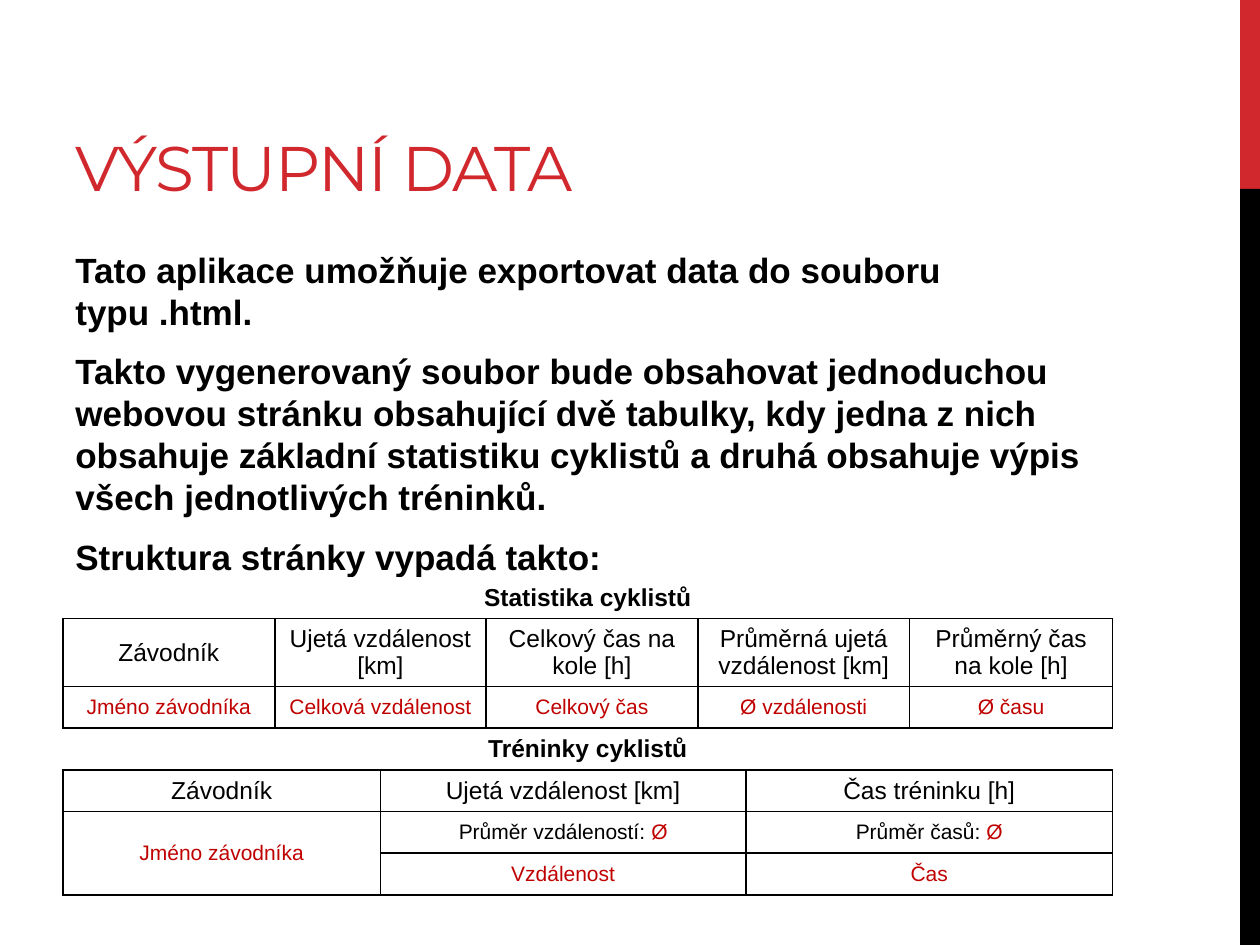
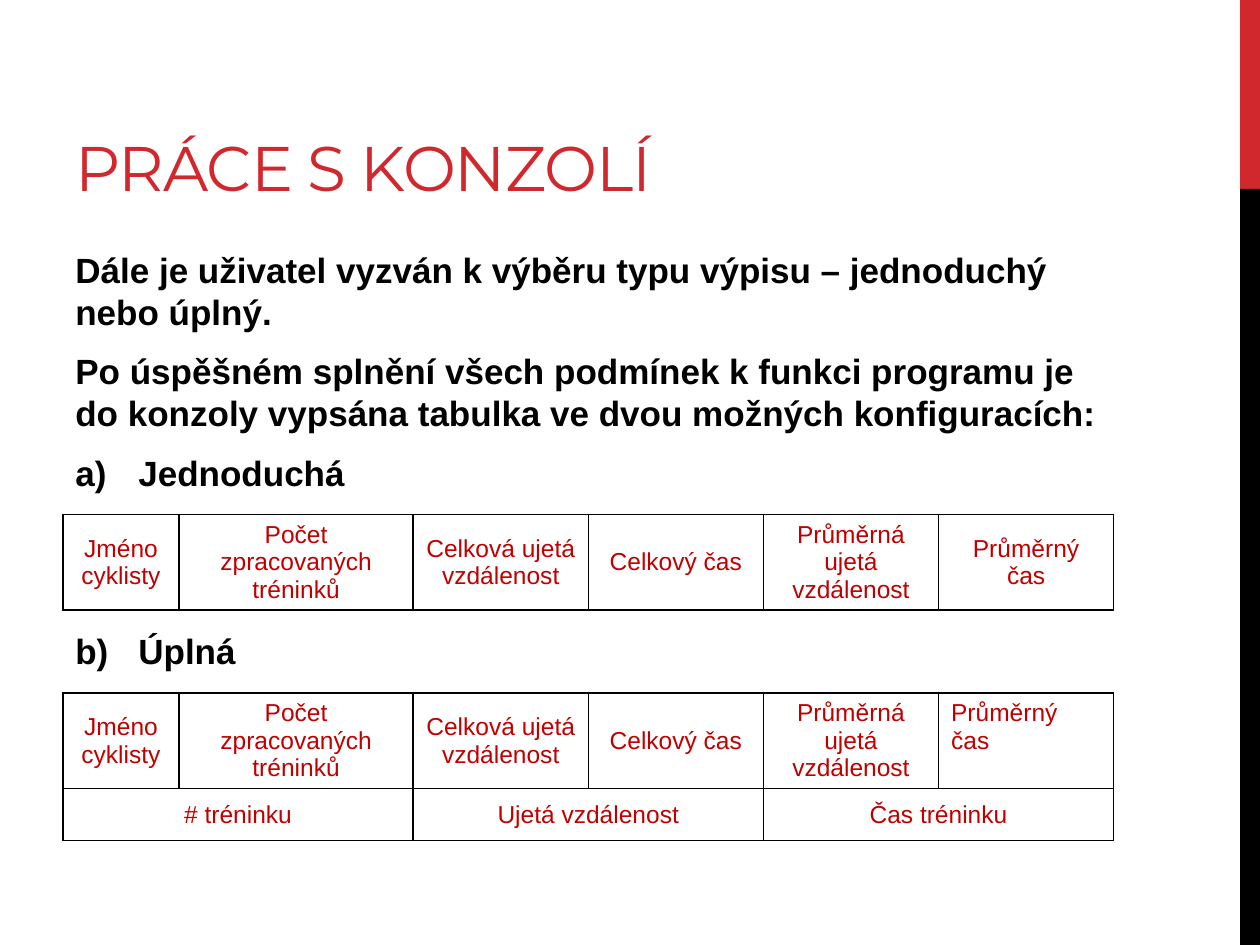
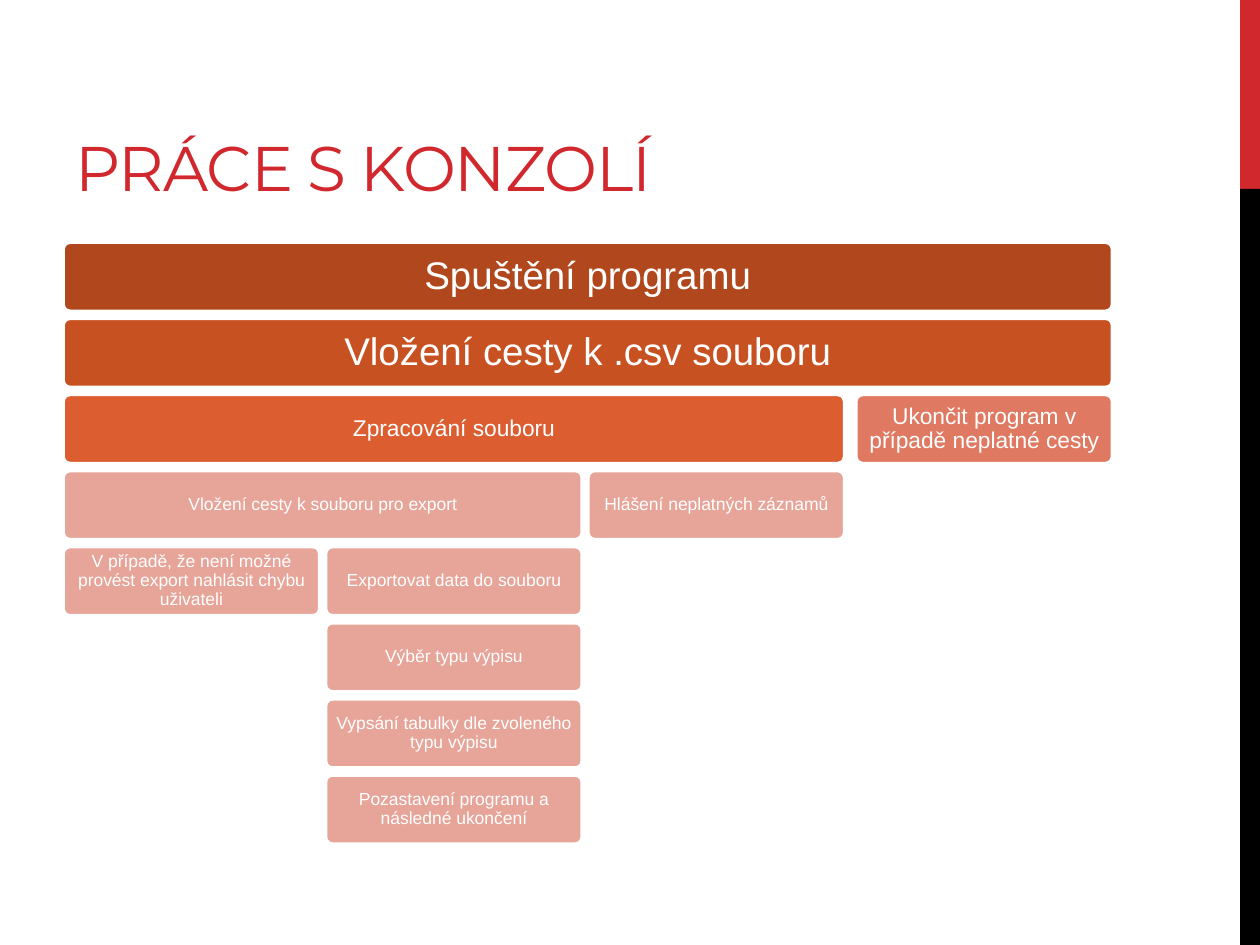
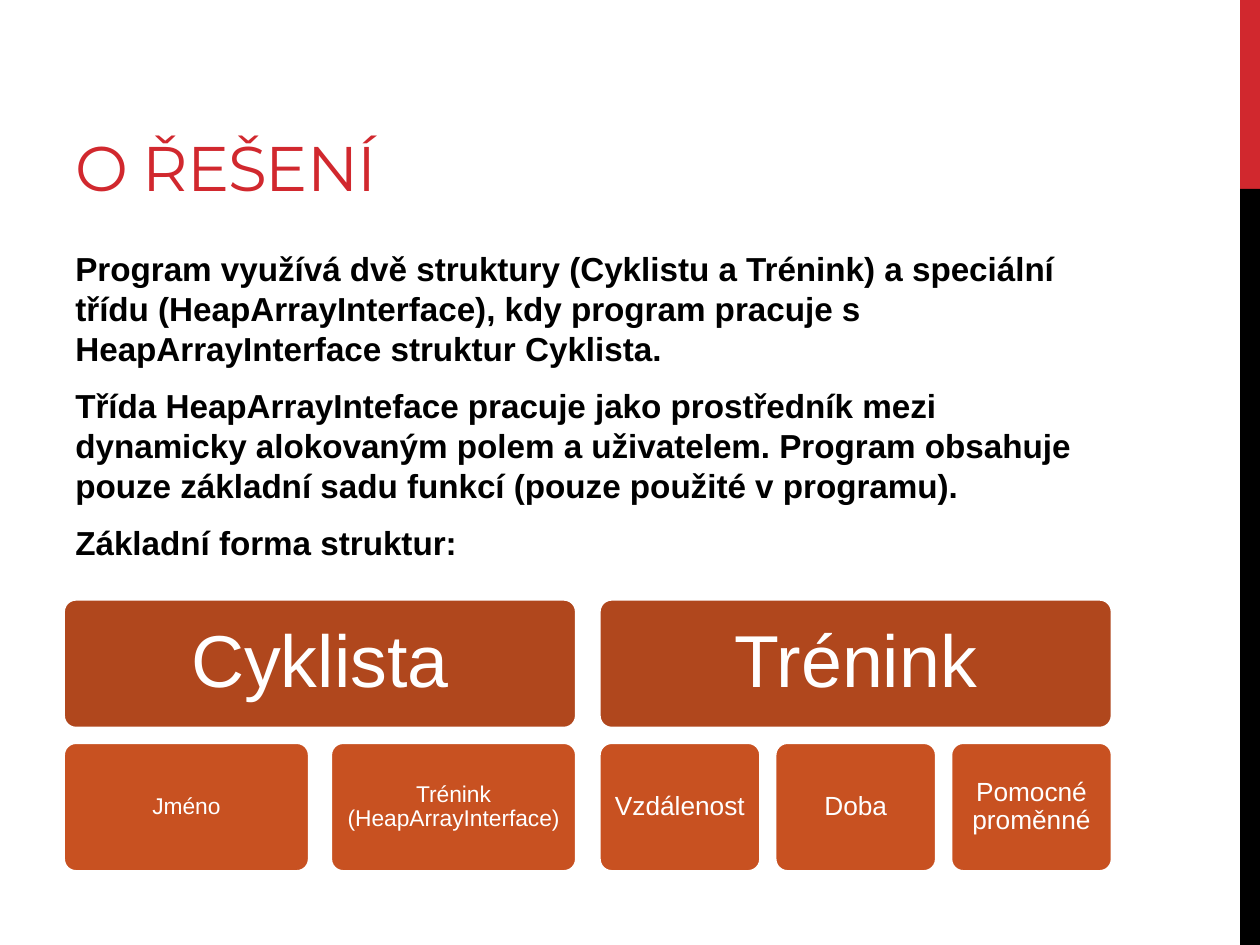
import dataclasses

import lxml.etree
import pptx
import pptx.dml.color
import pptx.enum.shapes
import pptx.enum.text
import pptx.oxml.ns
import pptx.util

Cm = pptx.util.Cm
Pt = pptx.util.Pt
ALIGN = pptx.enum.text.PP_ALIGN
ANCHOR = pptx.enum.text.MSO_ANCHOR
SHAPE = pptx.enum.shapes.MSO_SHAPE
qn = pptx.oxml.ns.qn


@dataclasses.dataclass(frozen=True)
class Theme:
    accent: str = "D1282E"
    ink: str = "000000"
    paper: str = "FFFFFF"
    value: str = "C00000"
    levels: tuple = ("B0471D", "C85121", "DC5D30", "E7A499")
    side_exit: str = "E07962"
    heading_font: str = "Montserrat"
    body_font: str = "Arial"
    title_size: int = 36
    body_size: int = 20
    header_size: int = 14
    value_size: int = 12


@dataclasses.dataclass(frozen=True)
class Box:
    """A region in centimetres."""
    left: float
    top: float
    width: float
    height: float

    def lengths(self):
        return Cm(self.left), Cm(self.top), Cm(self.width), Cm(self.height)


THEME = Theme()
TITLE = Box(1.27, 0.43, 16.08, 3.81)
BODY = Box(1.27, 4.88, 21.16, 12.14)


# Shared helpers

def rgb(code):
    return pptx.dml.color.RGBColor.from_string(code)


def style(span, size, color, bold=False, font=THEME.body_font):
    span.font.size = Pt(size)
    span.font.color.rgb = rgb(color)
    span.font.bold = bold
    span.font.name = font


def add_block(page, box, kind, fill):
    block = page.shapes.add_shape(kind, *box.lengths())
    block.shadow.inherit = False
    block.fill.solid()
    block.fill.fore_color.rgb = rgb(fill)
    block.line.fill.background()
    return block


def add_frame(page, box):
    frame = page.shapes.add_textbox(*box.lengths()).text_frame
    frame.word_wrap = True
    return frame


def add_page(deck, title):
    """Page with the side bands and the title."""
    page = deck.slides.add_slide(deck.slide_layouts[6])
    add_block(page, Box(25, 0, 0.4, 3.81), SHAPE.RECTANGLE, THEME.accent)
    add_block(page, Box(25, 3.81, 0.4, 15.24), SHAPE.RECTANGLE, THEME.ink)
    frame = add_frame(page, TITLE)
    frame.vertical_anchor = ANCHOR.BOTTOM
    frame.text = title
    span = frame.paragraphs[0].runs[0]
    style(span, THEME.title_size, THEME.accent, font=THEME.heading_font)
    span.font._element.set("spc", "-60")
    return page


def add_body(page, box, texts, size=THEME.body_size):
    frame = add_frame(page, box)
    frame.text = "\n".join(texts)
    for para in frame.paragraphs:
        para.space_before = Pt(size * 0.2)
        para.space_after = Pt(6)
        style(para.runs[0], size, THEME.ink, bold=True)
    return frame


def letter_item(para):
    """Number a paragraph a), b), ... with a hanging indent."""
    props = para._p.get_or_add_pPr()
    props.set("marL", str(Cm(1.27)))
    props.set("indent", str(-Cm(1.27)))
    lxml.etree.SubElement(props, qn("a:buFont"), typeface="+mj-lt")
    lxml.etree.SubElement(props, qn("a:buAutoNum"), type="alphaLcParenR")


# Tables

def set_borders(cell, sides):
    """Draw the named sides (of L, R, T, B) and clear the others."""
    props = cell._tc.get_or_add_tcPr()
    for index, side in enumerate("LRTB"):
        line = lxml.etree.Element(qn("a:ln" + side), w=str(Pt(1)))
        if side in sides:
            fill = lxml.etree.SubElement(line, qn("a:solidFill"))
            lxml.etree.SubElement(fill, qn("a:srgbClr"), val=THEME.ink)
        else:
            lxml.etree.SubElement(line, qn("a:noFill"))
        props.insert(index, line)


def add_grid(page, box, widths, heights, sides=None):
    """Empty bordered table; sides overrides the borders of a row."""
    frame = page.shapes.add_table(len(heights), len(widths), *box.lengths())
    table = frame.table
    table.first_row = table.horz_banding = False
    for column, width in zip(table.columns, widths):
        column.width = Cm(width)
    for index, height in enumerate(heights):
        table.rows[index].height = Cm(height)
        for cell in table.rows[index].cells:
            cell.margin_top = cell.margin_bottom = Cm(0.05)
            cell.fill.solid()
            cell.fill.fore_color.rgb = rgb(THEME.paper)
            set_borders(cell, (sides or {}).get(index, "LRTB"))
    return table


def fill_cell(cell, spans, size, bold=False):
    """Write centred (text, colour) spans."""
    cell.vertical_anchor = ANCHOR.MIDDLE
    para = cell.text_frame.paragraphs[0]
    para.alignment = ALIGN.CENTER
    for text, color in spans:
        span = para.add_run()
        span.text = text
        style(span, size, color, bold)


def fill_row(table, row, starts, texts, size, color, bold=False):
    """Write one row; each cell reaches to the next start column."""
    ends = [*starts[1:], len(table.columns)]
    for start, end, text in zip(starts, ends, texts):
        cell = table.cell(row, start)
        if end - start > 1:
            cell.merge(table.cell(row, end - 1))
        spans = [(text, color)] if isinstance(text, str) else text
        fill_cell(cell, spans, size, bold)


def add_export_table(page, box):
    """Statistics and trainings as the export lays them out."""
    widths = [4.27, 2.13, 2.13, 4.27, 0.97, 3.3, 4.09]
    heights = [0.84, 1.37] + [0.84] * 5
    table = add_grid(page, box, widths, heights, {0: "B", 3: "TB"})
    five, three = [0, 1, 3, 4, 6], [0, 2, 5]
    header = (THEME.header_size, THEME.ink)
    value = (THEME.value_size, THEME.value)

    fill_row(table, 0, [0], ["Statistika cyklistů"], *header, bold=True)
    fill_row(table, 1, five, [
        "Závodník", "Ujetá vzdálenost [km]", "Celkový čas na kole [h]",
        "Průměrná ujetá vzdálenost [km]", "Průměrný čas na kole [h]"], *header)
    fill_row(table, 2, five, [
        "Jméno závodníka", "Celková vzdálenost", "Celkový čas",
        "Ø vzdálenosti", "Ø času"], *value)

    fill_row(table, 3, [0], ["Tréninky cyklistů"], *header, bold=True)
    fill_row(table, 4, three, [
        "Závodník", "Ujetá vzdálenost [km]", "Čas tréninku [h]"], *header)
    table.cell(5, 0).merge(table.cell(6, 1))
    fill_cell(table.cell(5, 0), [("Jméno závodníka", THEME.value)], THEME.value_size)
    averages = [[(label, THEME.ink), ("Ø", THEME.value)]
                for label in ("Průměr vzdáleností: ", "Průměr časů: ")]
    fill_row(table, 5, three[1:], averages, *value)
    fill_row(table, 6, three[1:], ["Vzdálenost", "Čas"], *value)


def add_console_table(page, box, details=()):
    """Console listing, with an optional row of training details."""
    widths = [2.34, 4.72] + [3.53] * 4
    heights = [1.93] + ([1.04] if details else [])
    table = add_grid(page, box, widths, heights)
    value = (THEME.header_size, THEME.value)
    fill_row(table, 0, range(6), [
        "Jméno cyklisty", "Počet zpracovaných tréninků",
        "Celková ujetá vzdálenost", "Celkový čas",
        "Průměrná ujetá vzdálenost", "Průměrný čas"], *value)
    if details:
        fill_row(table, 1, [0, 2, 4], details, *value)
    return table


# Block diagrams

def add_node(page, box, text, fill, size, inset):
    node = add_block(page, box, SHAPE.ROUNDED_RECTANGLE, fill)
    node.adjustments[0] = 0.1
    node.line.color.rgb = rgb(THEME.paper)
    node.line.width = Pt(2.25)
    frame = node.text_frame
    frame.word_wrap = True
    frame.vertical_anchor = ANCHOR.MIDDLE
    frame.margin_left = frame.margin_right = Cm(inset)
    frame.margin_top = frame.margin_bottom = Cm(inset)
    frame.text = text
    para = frame.paragraphs[0]
    para.alignment = ALIGN.CENTER
    para.line_spacing = 0.9
    style(para.runs[0], size, THEME.paper)


def add_flow(page, box):
    """Program steps on a grid of four columns and eight rows."""
    lefts, leaf, height = [0, 5.29, 10.58, 15.98], 5.18, 1.4
    pitch = (box.height - height) / 7
    large, medium, small = (22, 0.23), (13, 0.13), (10, 0.1)
    first, second, third, low = THEME.levels
    # row, first column, last column, text, fill, size and inset
    steps = [
        (0, 0, 3, "Spuštění programu", first, large),
        (1, 0, 3, "Vložení cesty k .csv souboru", second, large),
        (2, 0, 2, "Zpracování souboru", third, medium),
        (3, 0, 1, "Vložení cesty k souboru pro export", low, small),
        (4, 0, 0, "V případě, že není možné provést export nahlásit chybu uživateli",
         low, small),
        (4, 1, 1, "Exportovat data do souboru", low, small),
        (5, 1, 1, "Výběr typu výpisu", low, small),
        (6, 1, 1, "Vypsání tabulky dle zvoleného typu výpisu", low, small),
        (7, 1, 1, "Pozastavení programu a následné ukončení", low, small),
        (3, 2, 2, "Hlášení neplatných záznamů", low, small),
        (2, 3, 3, "Ukončit program v případě neplatné cesty",
         THEME.side_exit, medium),
    ]
    for row, start, end, text, fill, scale in steps:
        place = Box(box.left + lefts[start], box.top + row * pitch,
                    lefts[end] + leaf - lefts[start], height)
        add_node(page, place, text, fill, *scale)


def add_structure(page, box, name, members, gap, size):
    """A structure above an even row of its members."""
    height = 2.62
    add_node(page, Box(box.left, box.top, box.width, height),
             name, THEME.levels[0], 42, 0.43)
    width = (box.width - gap * (len(members) - 1)) / len(members)
    for index, member in enumerate(members):
        place = Box(box.left + index * (width + gap),
                    box.top + box.height - height, width, height)
        add_node(page, place, member, THEME.levels[1], size, 0.14)


# Slides

def output_slide(deck):
    page = add_page(deck, "VÝSTUPNÍ DATA")
    add_body(page, BODY, [
        "Tato aplikace umožňuje exportovat data do souboru typu\u00a0.html.",
        "Takto vygenerovaný soubor bude obsahovat jednoduchou webovou stránku "
        "obsahující dvě tabulky, kdy jedna z nich obsahuje základní statistiku "
        "cyklistů a druhá obsahuje výpis všech jednotlivých tréninků.",
        "Struktura stránky vypadá takto:"])
    add_export_table(page, Box(BODY.left, 11.63, BODY.width, 6.41))


def listing_slide(deck):
    page = add_page(deck, "PRÁCE S KONZOLÍ")
    frame = add_body(page, BODY, [
        "Dále je uživatel vyzván k výběru typu výpisu – jednoduchý nebo úplný.",
        "Po úspěšném splnění všech podmínek k funkci programu je do konzoly "
        "vypsána tabulka ve dvou možných konfiguracích:",
        "Jednoduchá", "Úplná"])
    simple, full = frame.paragraphs[2:]
    full.space_before = Pt(72)  # room for the first table
    letter_item(simple)
    letter_item(full)
    add_console_table(page, Box(BODY.left, 10.37, BODY.width, 1.93))
    table = add_console_table(page, Box(BODY.left, 13.97, BODY.width, 2.97),
                              ["# tréninku", "Ujetá vzdálenost", "Čas tréninku"])
    corner = table.cell(0, 5)
    corner.vertical_anchor = ANCHOR.TOP
    corner.margin_top = Cm(0.13)
    corner.text_frame.paragraphs[0].alignment = ALIGN.LEFT


def flow_slide(deck):
    page = add_page(deck, "PRÁCE S KONZOLÍ")
    add_flow(page, BODY)


def solution_slide(deck):
    page = add_page(deck, "O ŘEŠENÍ")
    add_body(page, BODY, [
        "Program využívá dvě struktury (Cyklistu a Trénink) a speciální třídu "
        "(HeapArrayInterface), kdy program pracuje s HeapArrayInterface "
        "struktur Cyklista.",
        "Třída HeapArrayInteface pracuje jako prostředník mezi dynamicky "
        "alokovaným polem a uživatelem. Program obsahuje pouze základní sadu "
        "funkcí (pouze použité v programu).",
        "Základní forma struktur:"], size=19)
    add_structure(page, Box(BODY.left, 12.07, 10.36, 5.51), "Cyklista",
                  ["Jméno", "Trénink (HeapArrayInterface)"], gap=0.41, size=13)
    add_structure(page, Box(12.07, 12.07, 10.36, 5.51), "Trénink",
                  ["Vzdálenost", "Doba", "Pomocné proměnné"], gap=0.27, size=15)


deck = pptx.Presentation()
deck.slide_width, deck.slide_height = Cm(25.4), Cm(19.05)
for build in (output_slide, listing_slide, flow_slide, solution_slide):
    build(deck)
deck.save("out.pptx")
